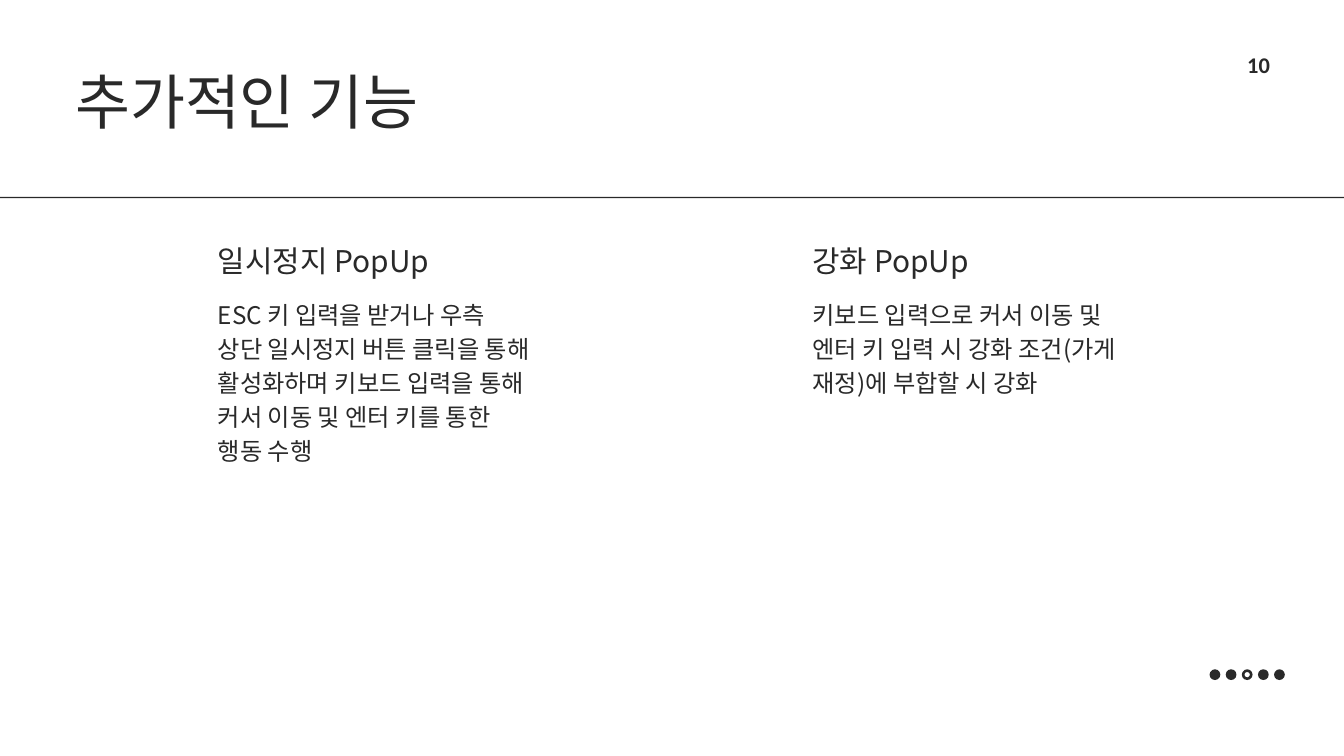
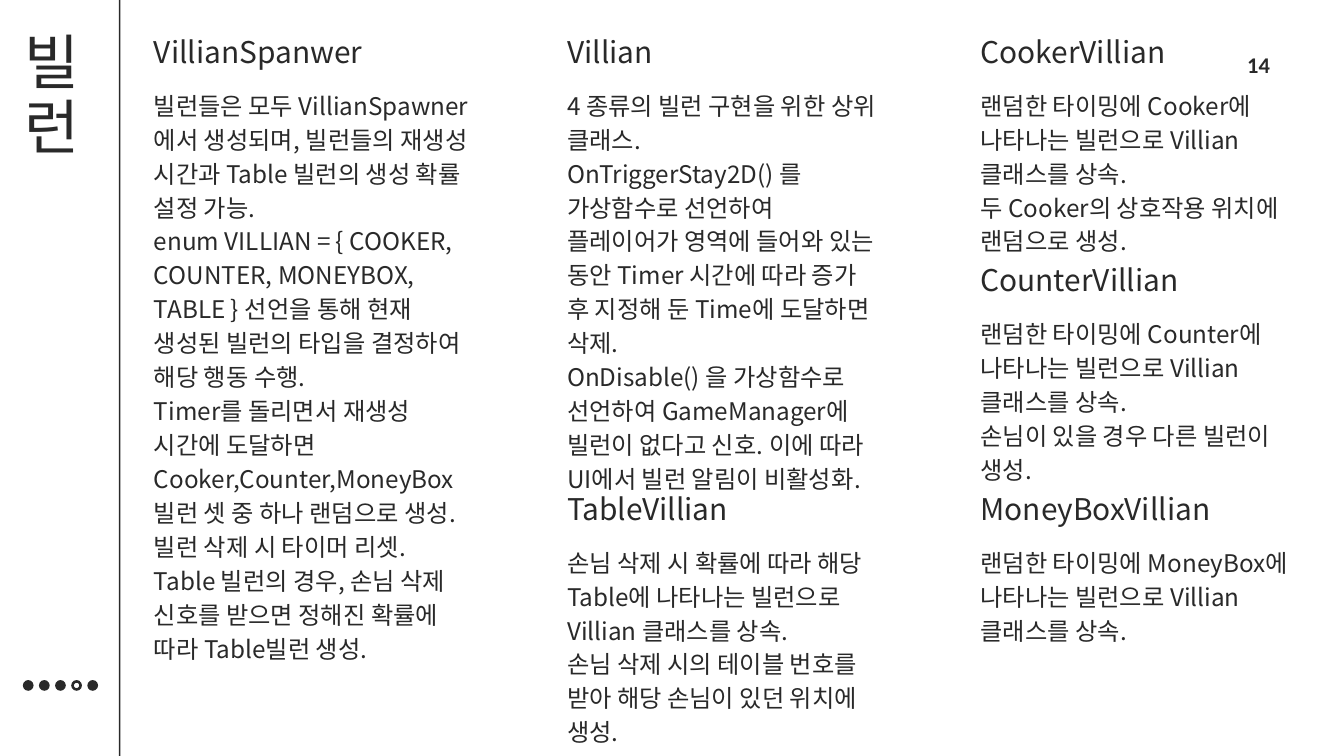
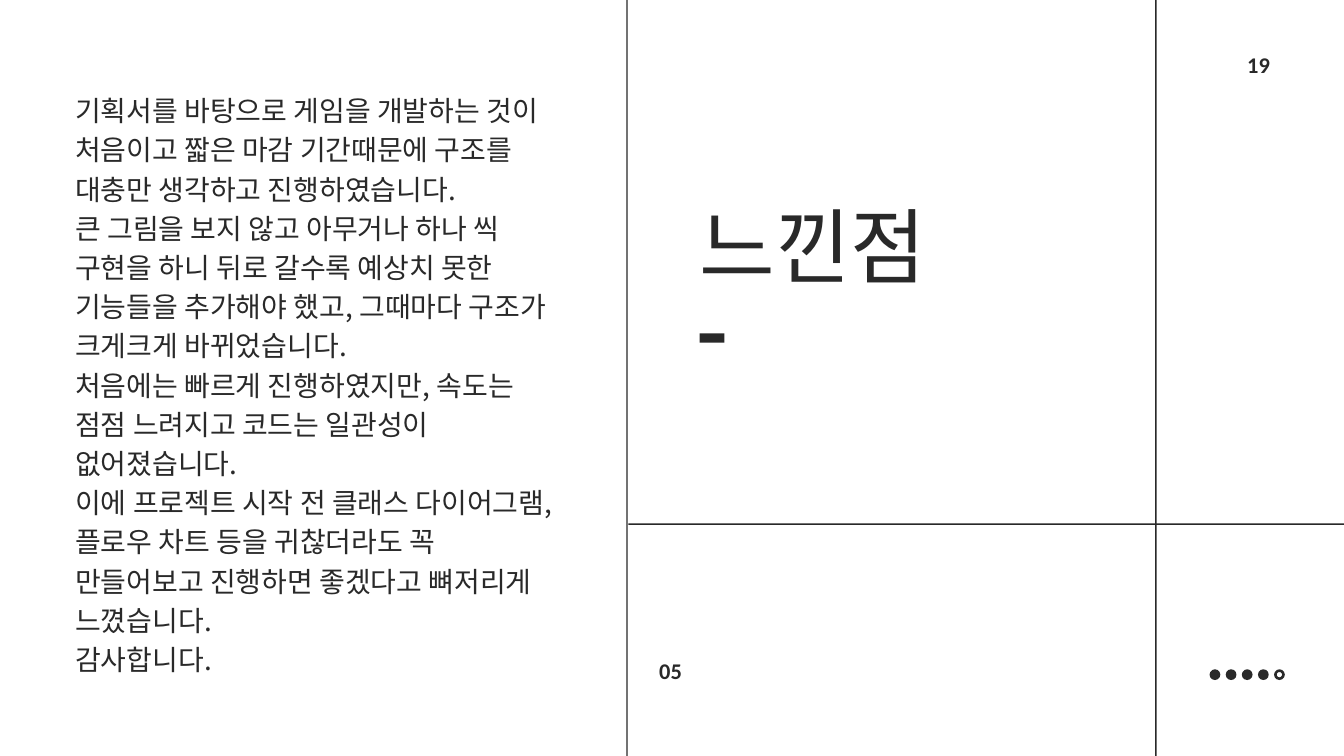
from lxml.etree import SubElement
from pptx import Presentation
from pptx.dml.color import RGBColor
from pptx.enum.shapes import MSO_SHAPE
from pptx.enum.text import MSO_ANCHOR, MSO_AUTO_SIZE, PP_ALIGN
from pptx.oxml.ns import qn
from pptx.util import Inches, Pt

WIDTH, HEIGHT = 20, 11.25
INK = RGBColor.from_string("292929")
KOREAN, LATIN = "Noto Sans CJK KR", "Calibri"
TIGHT, LOOSE = 1.1, 1.4  # line pitch as a multiple of the font size
RULE = 0.02
DOT, DOT_PITCH, DOT_COUNT = 0.16, 0.24, 5
COLUMN_WIDTH, HEADING_HEIGHT, BODY_OFFSET, BODY_LINE = 4.7, 0.55, 0.74, 0.5


def write(box, at, paragraphs, size, spacing, font=KOREAN, bold=False):
    """Place a text box or placeholder and fill it with uniform paragraphs."""
    box.left, box.top, box.width, box.height = map(Inches, at)
    frame = box.text_frame
    frame.margin_left = frame.margin_right = frame.margin_top = frame.margin_bottom = 0
    frame.word_wrap = True
    frame.vertical_anchor = MSO_ANCHOR.TOP
    frame.auto_size = MSO_AUTO_SIZE.SHAPE_TO_FIT_TEXT
    frame.text = "\n".join(paragraphs)
    for para in frame.paragraphs:
        para.alignment = PP_ALIGN.LEFT
        para.space_before = Pt(0)
        para.line_spacing = Pt(size * spacing)
        para.font.size = Pt(size)
        para.font.bold = bold
        para.font.color.rgb = INK
        para.font.name = font
        defaults = para._p.pPr.find(qn("a:defRPr"))
        SubElement(defaults, qn("a:ea")).set("typeface", font)


def draw(page, kind, at):
    """Add a solid ink shape without outline or shadow."""
    shape = page.shapes.add_shape(kind, *map(Inches, at))
    shape.shadow.inherit = False
    shape.fill.solid()
    shape.fill.fore_color.rgb = INK
    shape.line.fill.background()
    return shape


deck = Presentation()
deck.slide_width, deck.slide_height = Inches(WIDTH), Inches(HEIGHT)

# Number, title, title place, title size, rules, dots' corner, open dot
slides = [
    ("10", "추가적인 기능", (1.12, 1.05, 8.12, 1.13), 64,
     [(0, 2.93, WIDTH, RULE)], (18, 9.96), 2),
    ("14", "빌런", (0.36, 0.45, 1.06, 9.07), 64,
     [(1.77, 0, RULE, HEIGHT)], (0.34, 10.12), 3),
    ("19", "느낀점", (10.41, 3.03, 6.1, 1.54), 88,
     [(9.32, 0, RULE, HEIGHT), (17.19, 0, RULE, HEIGHT), (9.35, 7.79, 10.65, RULE),
      (10.41, 4.96, 0.37, 0.14)], (18, 9.96), 4),
]

pages = []
for number, title, title_at, title_size, rules, (dots_left, dots_top), open_dot in slides:
    page = deck.slides.add_slide(deck.slide_layouts[5])
    pages.append(page)
    write(page.shapes.title, title_at, [title], title_size, TIGHT)
    for rule in rules:
        draw(page, MSO_SHAPE.RECTANGLE, rule)
    for index in range(DOT_COUNT):
        kind = MSO_SHAPE.DONUT if index == open_dot else MSO_SHAPE.OVAL
        draw(page, kind, (dots_left + index * DOT_PITCH, dots_top, DOT, DOT))
    number_box = page.shapes.add_textbox(0, 0, 0, 0)
    write(number_box, (18.56, 0.69, 1.44, 0.44), [number], 24, LOOSE, LATIN, True)

popup_page, villain_page, closing_page = pages

popup_left, popup_pitch, popup_top = 3.24, 8.85, 3.66
villain_left, villain_pitch, villain_top, villain_row = 2.29, 6.15, 0.54, 3.4

# Page, left, top, heading, lines of body, paragraphs
topics = [
    (popup_page, popup_left, popup_top, "일시정지 PopUp", 4, [
        "ESC 키 입력을 받거나 우측 상단 일시정지 버튼 클릭을 통해 활성화하며 "
        "키보드 입력을 통해 커서 이동 및 엔터 키를 통한 행동 수행"]),
    (popup_page, popup_left + popup_pitch, popup_top, "강화 PopUp", 3, [
        "키보드 입력으로 커서 이동 및 엔터 키 입력 시 강화 조건(가게 재정)에 부합할 시 강화"]),
]

# Column, row, heading, lines of body, paragraphs
villains = [
    (0, 0, "VillianSpanwer", 14, [
        "빌런들은 모두 VillianSpawner에서 생성되며, 빌런들의 재생성 시간과 "
        "Table 빌런의 생성 확률 설정 가능.",
        "enum VILLIAN = { COOKER, COUNTER, MONEYBOX, TABLE } 선언을 통해 현재 "
        "생성된 빌런의 타입을 결정하여 해당 행동 수행.",
        "Timer를 돌리면서 재생성 시간에 도달하면 Cooker,Counter,MoneyBox빌런 셋 중 "
        "하나 랜덤으로 생성.",
        "빌런 삭제 시 타이머 리셋.",
        "Table 빌런의 경우, 손님 삭제 신호를 받으면 정해진 확률에 따라 Table빌런 생성."]),
    (1, 0, "Villian", 11, [
        "4 종류의 빌런 구현을 위한 상위 클래스.",
        "OnTriggerStay2D() 를 가상함수로 선언하여 플레이어가 영역에 들어와 있는 동안 "
        "Timer 시간에 따라 증가 후 지정해 둔 Time에 도달하면 삭제.",
        "OnDisable() 을 가상함수로 선언하여 GameManager에 빌런이 없다고 신호. "
        "이에 따라 UI에서 빌런 알림이 비활성화."]),
    (1, 2, "TableVillian", 5, [
        "손님 삭제 시 확률에 따라 해당 Table에 나타나는 빌런으로 Villian 클래스를 상속.",
        "손님 삭제 시의 테이블 번호를 받아 해당 손님이 있던 위치에 생성."]),
    (2, 0, "CookerVillian", 4, [
        "랜덤한 타이밍에 Cooker에 나타나는 빌런으로 Villian 클래스를 상속.",
        "두 Cooker의 상호작용 위치에 랜덤으로 생성."]),
    (2, 1, "CounterVillian", 4, [
        "랜덤한 타이밍에 Counter에 나타나는 빌런으로 Villian 클래스를 상속.",
        "손님이 있을 경우 다른 빌런이 생성."]),
    (2, 2, "MoneyBoxVillian", 3, [
        "랜덤한 타이밍에 MoneyBox에 나타나는 빌런으로 Villian 클래스를 상속."]),
]
for column, row, heading, lines, paragraphs in villains:
    topics.append((villain_page, villain_left + column * villain_pitch,
                   villain_top + row * villain_row, heading, lines, paragraphs))

for page, left, top, heading, lines, paragraphs in topics:
    heading_box = page.shapes.add_textbox(0, 0, 0, 0)
    write(heading_box, (left, top, COLUMN_WIDTH, HEADING_HEIGHT), [heading], 32, TIGHT)
    body_box = page.shapes.add_textbox(0, 0, 0, 0)
    write(body_box, (left, top + BODY_OFFSET, COLUMN_WIDTH, lines * BODY_LINE),
          paragraphs, 26, LOOSE)

reflections = [
    "기획서를 바탕으로 게임을 개발하는 것이 처음이고 짧은 마감 기간때문에 구조를 "
    "대충만 생각하고 진행하였습니다.",
    "큰 그림을 보지 않고 아무거나 하나 씩 구현을 하니 뒤로 갈수록 예상치 못한 "
    "기능들을 추가해야 했고, 그때마다 구조가 크게크게 바뀌었습니다.",
    "처음에는 빠르게 진행하였지만, 속도는 점점 느려지고 코드는 일관성이 없어졌습니다.",
    "이에 프로젝트 시작 전 클래스 다이어그램, 플로우 차트 등을 귀찮더라도 꼭 "
    "만들어보고 진행하면 좋겠다고 뼈저리게 느꼈습니다.",
    "감사합니다.",
]
reflection_box = closing_page.shapes.add_textbox(0, 0, 0, 0)
write(reflection_box, (1.12, 1.31, 7.12, 8.01), reflections, 30, LOOSE)
section_box = closing_page.shapes.add_textbox(0, 0, 0, 0)
write(section_box, (9.81, 9.71, 2.87, 0.44), ["05"], 24, LOOSE, LATIN, True)

deck.save("out.pptx")
